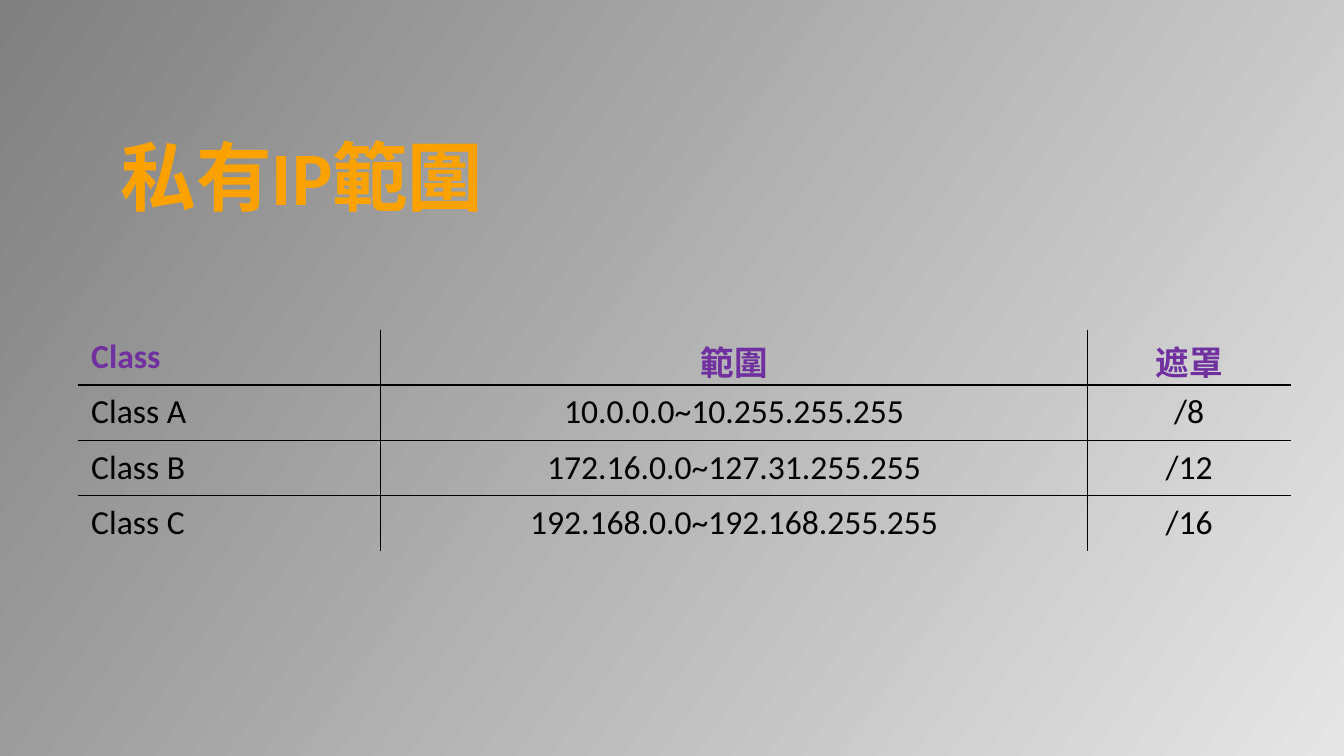
from typing import NamedTuple

from lxml.etree import SubElement
from pptx import Presentation
from pptx.dml.color import RGBColor
from pptx.enum.text import MSO_ANCHOR as Anchor, PP_ALIGN as Align
from pptx.oxml.ns import qn
from pptx.slide import Slide
from pptx.table import _Cell as Cell
from pptx.text.text import _Paragraph as Paragraph
from pptx.util import Pt

ORANGE = RGBColor(0xFB, 0xA1, 0x00)
PURPLE = RGBColor(0x70, 0x30, 0xA0)
BLACK = RGBColor(0x00, 0x00, 0x00)
GRADIENT = (RGBColor(0x80, 0x80, 0x80), RGBColor(0xE7, 0xE6, 0xE6))
FONT = "Calibri"
ROW_HEIGHT = 39.6


class Column(NamedTuple):
    heading: str
    width: float
    align: Align
    values: tuple[str, ...]


COLUMNS = (
    Column("Class", 216.7, Align.LEFT, ("Class A", "Class B", "Class C")),
    Column("範圍", 504.7, Align.CENTER,
           ("10.0.0.0~10.255.255.255", "172.16.0.0~127.31.255.255",
            "192.168.0.0~192.168.255.255")),
    Column("遮罩", 145.4, Align.CENTER, ("/8", "/12", "/16")),
)


def add_span(para: Paragraph, text: str, size: float, color: RGBColor, bold: bool) -> None:
    span = para.add_run()
    span.text = text
    span.font.name = FONT
    span.font.size = Pt(size)
    span.font.bold = bold
    span.font.color.rgb = color


def paint_background(page: Slide) -> None:
    fill = page.background.fill
    fill.gradient()
    fill.gradient_angle = 325
    for stop, color in zip(fill.gradient_stops, GRADIENT):
        stop.color.rgb = color


def add_title(page: Slide) -> None:
    box = page.shapes.add_textbox(Pt(79.2), Pt(88.6), Pt(666), Pt(73.4))
    frame = box.text_frame
    frame.word_wrap = True
    frame.vertical_anchor = Anchor.BOTTOM
    para = frame.paragraphs[0]
    para.line_spacing = 0.9
    add_span(para, "私有IP範圍", 54, ORANGE, True)


def set_borders(cell: Cell, visible: dict[str, bool]) -> None:
    """Rule the visible sides in black and leave the others without a line."""
    properties = cell._tc.get_or_add_tcPr()
    for side, shown in visible.items():
        line = SubElement(properties, qn(f"a:ln{side}"), w=str(Pt(1)))
        if shown:
            fill = SubElement(line, qn("a:solidFill"))
            SubElement(fill, qn("a:srgbClr"), val=str(BLACK))
        else:
            SubElement(line, qn("a:noFill"))


def add_range_table(page: Slide) -> None:
    row_count = 1 + len(COLUMNS[0].values)
    width = sum(column.width for column in COLUMNS)
    table = page.shapes.add_table(row_count, len(COLUMNS), Pt(55.4), Pt(235.4),
                                  Pt(width), Pt(ROW_HEIGHT * row_count)).table
    table.first_row = table.horz_banding = False
    for row in table.rows:
        row.height = Pt(ROW_HEIGHT)
    for x, column in enumerate(COLUMNS):
        table.columns[x].width = Pt(column.width)
        for y, text in enumerate((column.heading, *column.values)):
            cell = table.cell(y, x)
            set_borders(cell, {"L": x > 0, "R": x < len(COLUMNS) - 1,
                               "T": y > 0, "B": y < row_count - 1})
            cell.fill.background()
            cell.margin_left = cell.margin_right = Pt(9.8)
            cell.margin_top = cell.margin_bottom = Pt(4.9)
            para = cell.text_frame.paragraphs[0]
            para.alignment = column.align
            is_heading = y == 0
            add_span(para, text, 24, PURPLE if is_heading else BLACK, is_heading)


def main() -> None:
    deck = Presentation()
    deck.slide_width, deck.slide_height = Pt(960), Pt(540)
    page = deck.slides.add_slide(deck.slide_layouts[6])
    paint_background(page)
    add_title(page)
    add_range_table(page)
    deck.save("out.pptx")


if __name__ == "__main__":
    main()
